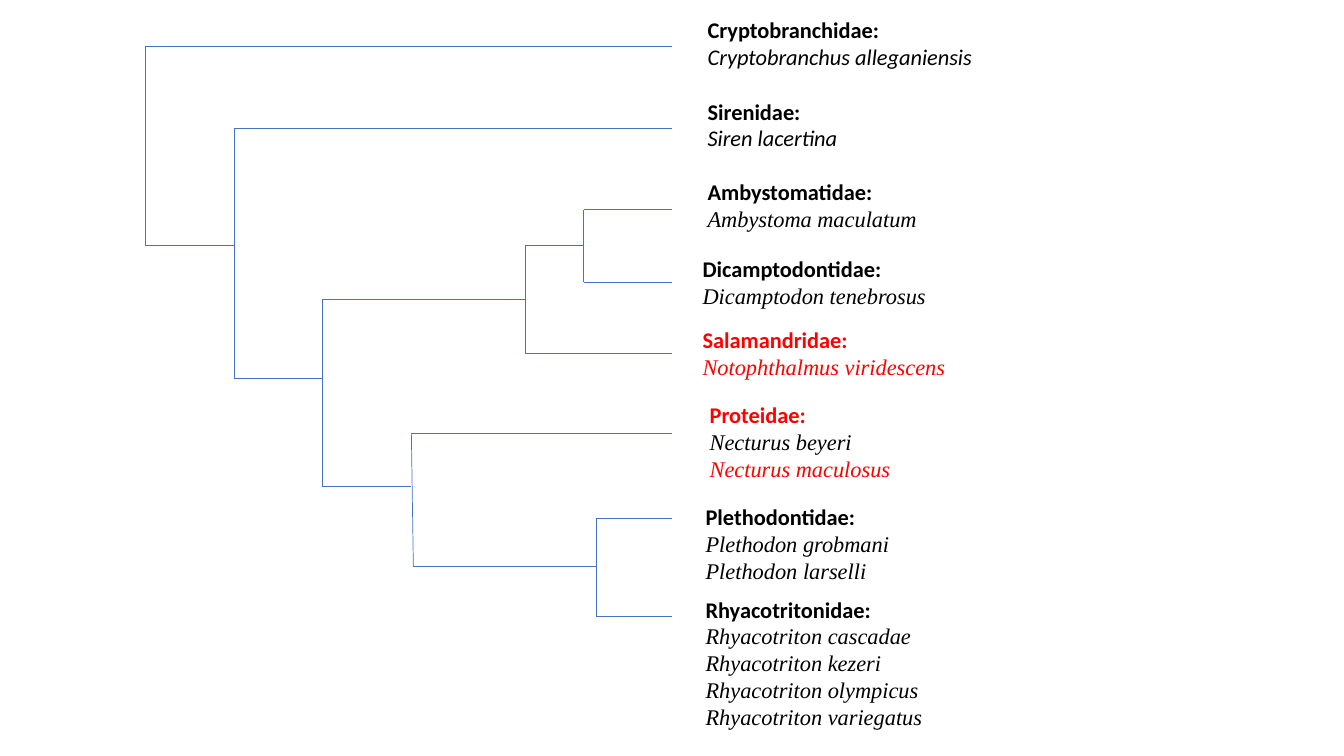
from pptx import Presentation
from pptx.dml.color import RGBColor
from pptx.enum import shapes, text
from pptx.oxml.ns import qn
from pptx.util import Inches, Pt
from lxml import etree

BLACK, RED, BLUE = "000000", "FF0000", "4472C4"
SANS, SERIF = "Calibri", "Times New Roman"
TIP = 6.67

FAMILIES = [
    (6.92, 0.11, 2.86, 0.64, "Cryptobranchidae:", BLACK, SANS,
     [("Cryptobranchus alleganiensis", BLACK)]),
    (6.92, 0.92, 1.5, 0.64, "Sirenidae:", BLACK, SANS,
     [("Siren lacertina", BLACK)]),
    (6.92, 1.72, 2.3, 0.64, "Ambystomatidae:", BLACK, SERIF,
     [("Ambystoma maculatum", BLACK)]),
    (6.87, 2.48, 2.45, 0.64, "Dicamptodontidae:", BLACK, SERIF,
     [("Dicamptodon tenebrosus", BLACK)]),
    (6.87, 3.19, 2.64, 0.64, "Salamandridae:", RED, SERIF,
     [("Notophthalmus viridescens", RED)]),
    (6.94, 3.93, 2.02, 0.91, "Proteidae:", RED, SERIF,
     [("Necturus beyeri", BLACK), ("Necturus maculosus", RED)]),
    (6.9, 4.94, 2.05, 0.94, "Plethodontidae:", BLACK, SERIF,
     [("Plethodon grobmani", BLACK), ("Plethodon larselli", BLACK)]),
    (6.9, 5.86, 2.38, 1.45, "Rhyacotritonidae:", BLACK, SERIF,
     [("Rhyacotriton cascadae", BLACK), ("Rhyacotriton kezeri", BLACK),
      ("Rhyacotriton olympicus", BLACK), ("Rhyacotriton variegatus", BLACK)]),
]

# Upper branch (start x, y, end x), then lower branch.
CLADES = [
    ((1.44, 0.46, TIP), (1.44, 2.43, 2.32)),
    ((2.32, 1.27, TIP), (2.32, 3.75, 3.2)),
    ((3.2, 2.97, 5.21), (3.2, 4.83, 4.08)),
    ((5.21, 2.43, 5.79), (5.21, 3.51, TIP)),
    ((5.79, 2.08, TIP), (5.79, 2.8, TIP)),
    ((4.08, 4.3, TIP), (4.1, 5.62, 5.91)),
    ((5.91, 5.14, TIP), (5.91, 6.11, TIP)),
]


def rgb(value):
    return RGBColor.from_string(value)


def add_line(slide, x1, y1, x2, y2):
    line = slide.shapes.add_connector(
        shapes.MSO_CONNECTOR.STRAIGHT,
        Inches(x1), Inches(y1), Inches(x2), Inches(y2))
    line.line.color.rgb = rgb(BLUE)
    line.line.width = Pt(0.5)
    etree.SubElement(line._element.spPr, qn("a:effectLst"))


def add_clade(slide, upper, lower):
    add_line(slide, upper[0], upper[1], lower[0], lower[1])
    for start, y, end in (upper, lower):
        add_line(slide, start, y, end, y)


def format_name(paragraph, font_name, color, is_family):
    font = paragraph.runs[0].font
    font.name = font_name
    font.size = Pt(16)
    font.bold = is_family
    font.italic = not is_family
    font.color.rgb = rgb(color)


def add_family(slide, left, top, width, height, family, color, species_font, species):
    label = slide.shapes.add_textbox(
        Inches(left), Inches(top), Inches(width), Inches(height))
    frame = label.text_frame
    frame.word_wrap = False
    frame.auto_size = text.MSO_AUTO_SIZE.SHAPE_TO_FIT_TEXT
    frame.text = "\n".join([family] + [name for name, _ in species])
    format_name(frame.paragraphs[0], SANS, color, True)
    for paragraph, (_, species_color) in zip(frame.paragraphs[1:], species):
        format_name(paragraph, species_font, species_color, False)


def main():
    prs = Presentation()
    prs.slide_width = Inches(13.33)
    prs.slide_height = Inches(7.5)
    slide = prs.slides.add_slide(prs.slide_layouts[6])
    for clade in CLADES:
        add_clade(slide, *clade)
    for family in FAMILIES:
        add_family(slide, *family)
    prs.save("out.pptx")


main()
